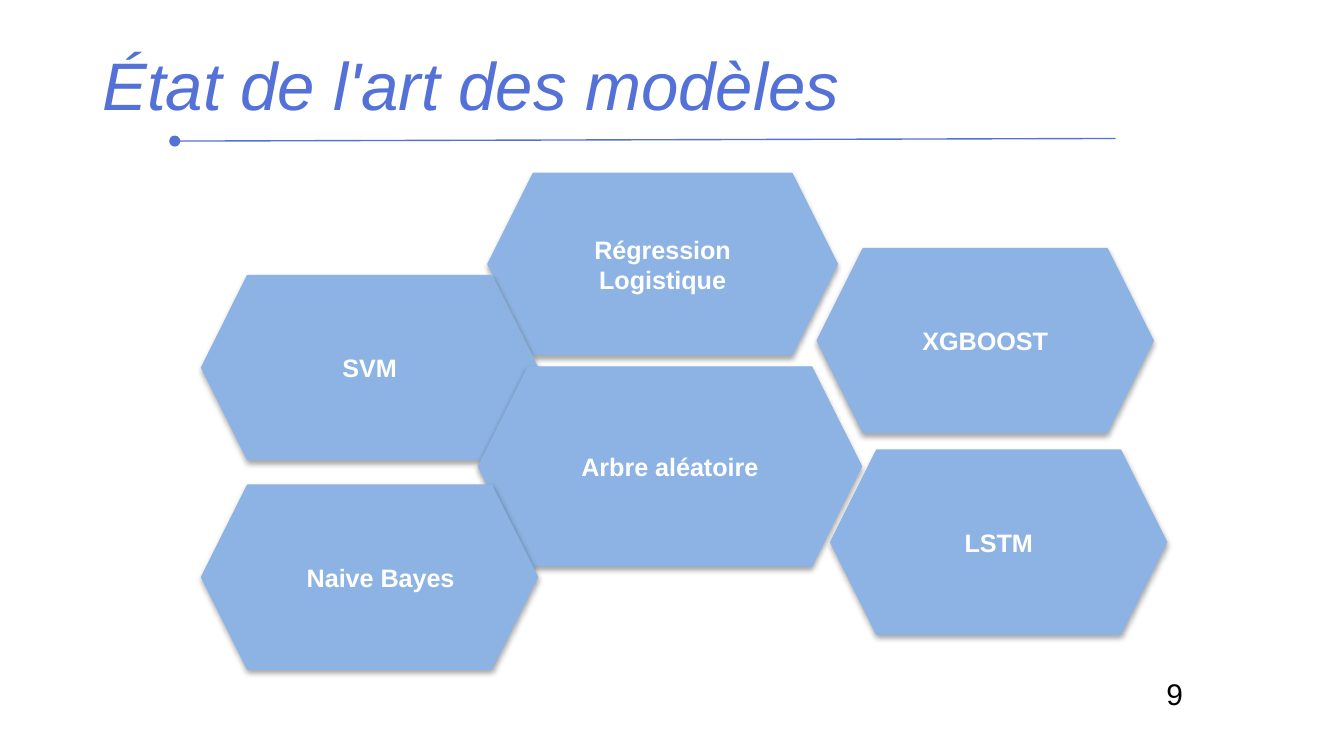
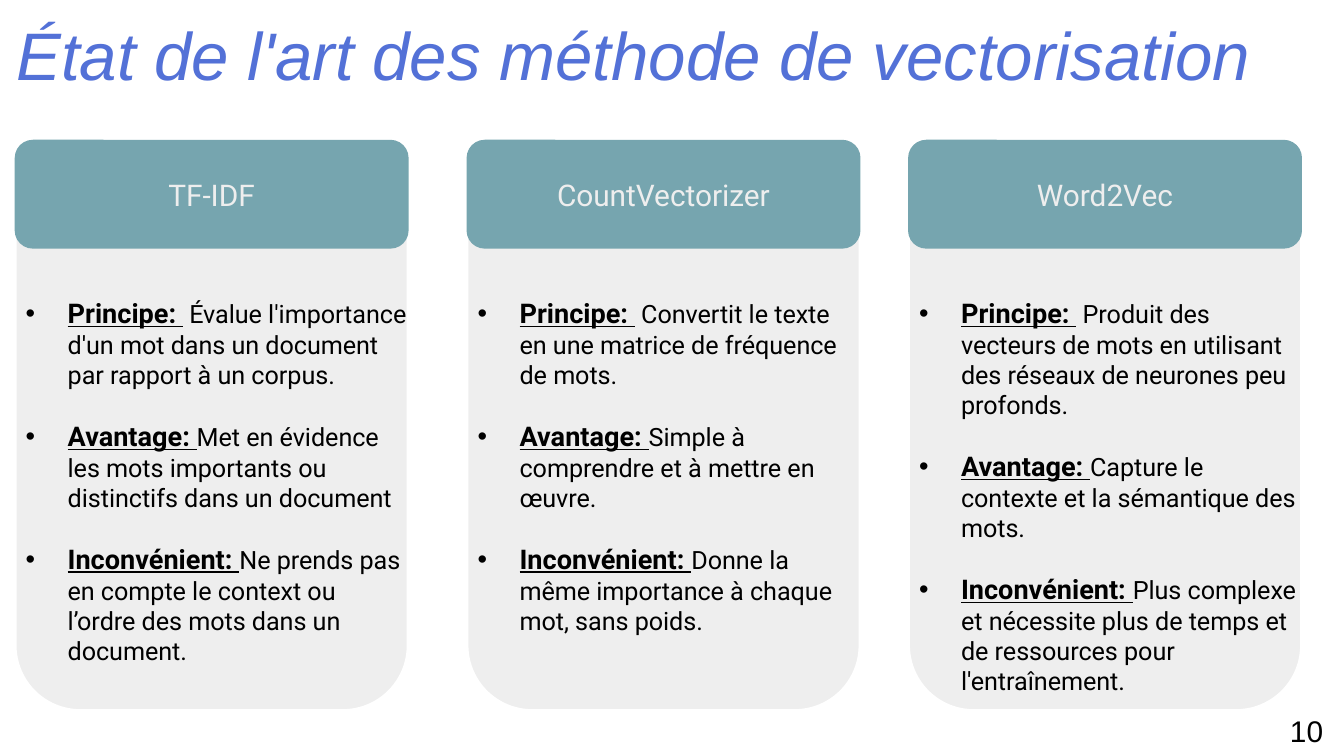
import pptx
import pptx.dml.color
import pptx.enum.shapes
import pptx.enum.text
import pptx.oxml
import pptx.oxml.ns
import pptx.util

Pt = pptx.util.Pt
Shape = pptx.enum.shapes.MSO_SHAPE
Align = pptx.enum.text.PP_ALIGN
Anchor = pptx.enum.text.MSO_ANCHOR

COLOURS = {
    "title": "5371D7",
    "hexagon": "8CB3E3",
    "header": "76A5AF",
    "card": "EEEEEE",
    "white": "FFFFFF",
    "black": "000000",
}
MODELS = [
    ("XGBOOST", 437.8, 133.2, 180, 98.6),
    ("Régression\nLogistique", 261.4, 92.9, 187.2, 97.2),
    ("SVM", 108, 147.6, 180, 98.6),
    ("Arbre aléatoire", 256.3, 196.6, 205.2, 106.6),
    ("Naive Bayes", 108, 259.9, 180, 98.6),
    ("LSTM", 445, 241.2, 180, 98.6),
]
METHODS = [
    ("TF-IDF", 7.9, [
        ("Principe: ", " Évalue l'importance d'un mot dans un document par rapport à un corpus."),
        ("Avantage: ", "Met en évidence les mots importants ou distinctifs dans un document"),
        ("Inconvénient: ", "Ne prends pas en compte le context ou l’ordre des mots dans un document."),
    ]),
    ("CountVectorizer", 250, [
        ("Principe: ", " Convertit le texte en une matrice de fréquence de mots."),
        ("Avantage: ", "Simple à comprendre et à mettre en œuvre."),
        ("Inconvénient: ", "Donne la même importance à chaque mot, sans poids."),
    ]),
    ("Word2Vec", 486.5, [
        ("Principe: ", " Produit des vecteurs de mots en utilisant des réseaux de neurones peu profonds."),
        ("Avantage: ", "Capture le contexte et la sémantique des mots."),
        ("Inconvénient: ", "Plus complexe et nécessite plus de temps et de ressources pour l'entraînement."),
    ]),
]
CARD_WIDTH = 211
NAMESPACE = pptx.oxml.ns.nsdecls("a")


def colour(name):
    """Return the palette colour of that name."""
    return pptx.dml.color.RGBColor.from_string(COLOURS[name])


def append_xml(parent, tag, content):
    """Append a drawing element, given its tag and inner XML."""
    parent.append(pptx.oxml.parse_xml(f"<a:{tag} {NAMESPACE}>{content}</a:{tag}>"))


def style_font(font, size, colour_name, name="Arial", bold=False, italic=False):
    """Set the face, size, colour and weight of a font."""
    font.name, font.size, font.bold, font.italic = name, Pt(size), bold, italic
    font.color.rgb = colour(colour_name)


def add_filled_shape(shapes, kind, box, fill, line=None, line_width=0.75):
    """Add a plain preset shape with a solid fill and an optional line."""
    shape = shapes.add_shape(kind, *map(Pt, box))
    shape.shadow.inherit = False
    shape.fill.solid()
    shape.fill.fore_color.rgb = colour(fill)
    if line:
        shape.line.color.rgb = colour(line)
        shape.line.width = Pt(line_width)
    else:
        shape.line.fill.background()
    return shape


def write_label(shape, text, **font):
    """Write centred lines in the middle of a shape."""
    frame = shape.text_frame
    frame.word_wrap = True
    frame.vertical_anchor = Anchor.MIDDLE
    frame.text = text
    for paragraph in frame.paragraphs:
        paragraph.alignment = Align.CENTER
        style_font(paragraph.font, **font)


def add_text_box(shapes, box):
    """Add a wrapping text box and return its text frame."""
    frame = shapes.add_textbox(*map(Pt, box)).text_frame
    frame.word_wrap = True
    return frame


def add_title(slide, text, top, width):
    """Add the italic slide title."""
    frame = add_text_box(slide.shapes, (0, top, width, 58.3))
    frame.margin_top = frame.margin_bottom = Pt(7.2)
    paragraph = frame.paragraphs[0]
    paragraph.text = text
    paragraph.alignment = Align.CENTER
    style_font(paragraph.font, 36, "title", italic=True)


def add_page_number(slide, number, left, top):
    """Add the slide number."""
    paragraph = add_text_box(slide.shapes, (left, top, 36, 26)).paragraphs[0]
    paragraph.text = str(number)
    style_font(paragraph.font, 16, "black")


def add_title_rule(slide):
    """Add the line under the title, with a dot at its start."""
    ends = map(Pt, (93.6, 75.6, 597.6, 74.2))
    rule = slide.shapes.add_connector(pptx.enum.shapes.MSO_CONNECTOR.STRAIGHT, *ends)
    rule.line.color.rgb = colour("title")
    rule.line.width = Pt(0.75)
    outline = rule.line._get_or_add_ln()
    append_xml(outline, "headEnd", "")
    outline[-1].set("type", "oval")
    append_xml(rule._element.spPr, "effectLst", "")


def add_model(slide, name, *box):
    """Add a hexagon with a soft shadow that names a model."""
    hexagon = add_filled_shape(slide.shapes, Shape.HEXAGON, box, "hexagon", "hexagon")
    write_label(hexagon, name, size=13.5, colour_name="white", bold=True)
    properties = hexagon._element.spPr
    properties.remove(properties.find(pptx.oxml.ns.qn("a:effectLst")))
    append_xml(properties, "effectLst",
               f'<a:outerShdw blurRad="{Pt(3.1)}" dist="{Pt(1.8)}" dir="5400000" rotWithShape="0">'
               f'<a:srgbClr val="{COLOURS["black"]}"><a:alpha val="34000"/></a:srgbClr></a:outerShdw>')
    return hexagon


def add_bullet(paragraph, heading, body):
    """Fill a bulleted paragraph with an underlined heading and its body."""
    paragraph.space_after = Pt(16)
    properties = paragraph._p.get_or_add_pPr()
    properties.set("marL", str(Pt(22.5)))
    properties.set("indent", str(-Pt(22.5)))
    append_xml(properties, "buClr", f'<a:srgbClr val="{COLOURS["black"]}"/>')
    append_xml(properties, "buFont", "")
    properties[-1].set("typeface", "Arial")
    append_xml(properties, "buChar", "")
    properties[-1].set("char", "•")
    for text, size, strong in ((heading, 14.5, True), (body, 13.5, False)):
        run = paragraph.add_run()
        run.text = text
        style_font(run.font, size, "black", "Roboto", bold=strong)
        run.font.underline = strong


def add_method(slide, name, left, points):
    """Add a grouped card with a header and its bullet points."""
    shapes = slide.shapes.add_group_shape().shapes
    add_filled_shape(shapes, Shape.ROUNDED_RECTANGLE, (left, 79.9, CARD_WIDTH, 301), "card", "white", 2)
    frame = add_text_box(shapes, (left - 1.2, 155.5, 218.2, 225))
    for index, (heading, body) in enumerate(points):
        paragraph = frame.add_paragraph() if index else frame.paragraphs[0]
        add_bullet(paragraph, heading, body)
    header = add_filled_shape(shapes, Shape.ROUNDED_RECTANGLE, (left, 74.9, CARD_WIDTH, 58.3), "header")
    write_label(header, name, size=16, colour_name="card", name="Roboto")


def build_models_slide(slide):
    """Build the overview of the models."""
    add_title_rule(slide)
    for model in MODELS:
        hexagon = add_model(slide, *model)
        if model[0] == "Naive Bayes":
            hexagon.text_frame.margin_left = Pt(19)
    add_page_number(slide, 9, 617.8, 358.6)
    add_title(slide, "État de l'art des modèles", 15.8, 504.7)


def build_methods_slide(slide):
    """Build the comparison of the vectorisation methods."""
    add_page_number(slide, 10, 684, 378)
    add_title(slide, "État de l'art des méthode de vectorisation", 0, 679)
    for method in METHODS:
        add_method(slide, *method)


def main():
    """Build and save the presentation."""
    presentation = pptx.Presentation()
    presentation.slide_width, presentation.slide_height = Pt(720), Pt(405)
    for build in (build_models_slide, build_methods_slide):
        build(presentation.slides.add_slide(presentation.slide_layouts[6]))
    presentation.save("out.pptx")


if __name__ == "__main__":
    main()
